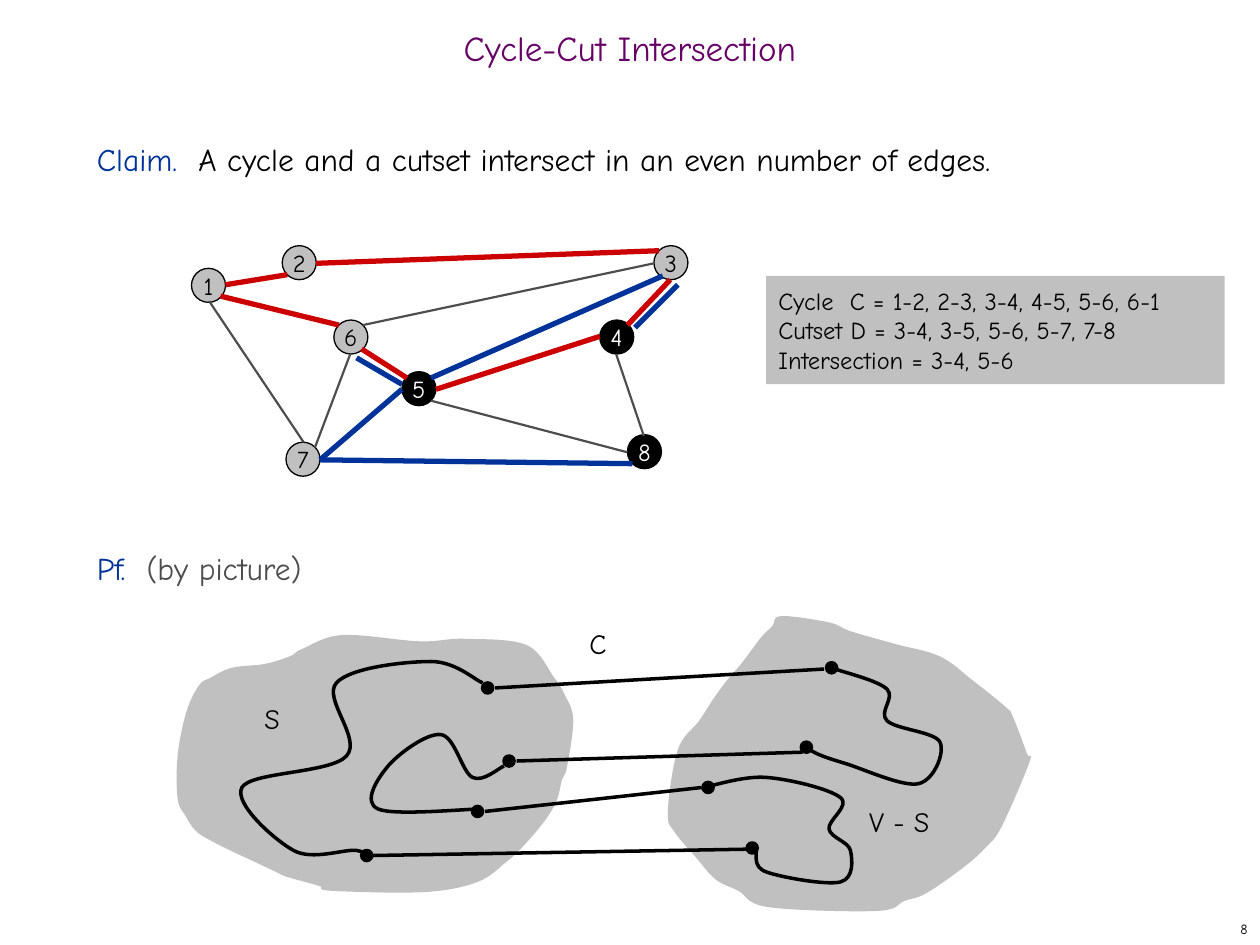
from pptx import Presentation
from pptx.dml.color import RGBColor as RGB
from pptx.enum.shapes import MSO_CONNECTOR as LINE, MSO_SHAPE as SHAPE
from pptx.enum.text import MSO_ANCHOR as ANCHOR, PP_ALIGN as ALIGN
from pptx.oxml.ns import qn
from pptx.util import Cm, Pt
from lxml import etree

FONT = "Comic Neue"
CM_PER_INCH = 2.54
NODE, DOT = 0.27, 0.08
COLORS = {
    "title": "660066", "blue": "003399", "red": "CC0000", "gray": "4D4D4D",
    "fill": "C0C0C0", "black": "000000", "dark": "010000", "white": "FFFFFF",
}
SET_S = [
    (1.67, 5.38), (1.84, 5.3), (2.1, 5.27), (2.3, 5.21), (2.4, 5.15), (2.72, 5.04),
    (3.33, 5.09), (3.69, 5.07), (4.18, 5.12), (4.4, 5.38), (4.48, 5.51),
    (4.55, 5.71), (4.5, 6.09), (4.46, 6.19), (4.42, 6.35), (4.32, 6.52), (4.14, 6.73),
    (4.02, 6.84), (3.79, 7), (3.37, 7.08), (2.63, 7.07), (2.53, 7.03), (2.28, 6.96),
    (2.19, 6.92), (2, 6.83), (1.89, 6.78), (1.67, 6.67), (1.55, 6.59), (1.47, 6.47),
    (1.41, 6.34), (1.41, 6), (1.48, 5.65), (1.58, 5.44),
]
SET_V_MINUS_S = [
    (6.2, 4.89), (6.58, 4.94), (6.75, 5.01), (7.1, 5.11), (7.46, 5.21), (7.72, 5.4),
    (7.98, 5.61), (8.04, 5.69), (8.15, 5.98), (8.17, 6.05), (7.95, 6.56),
    (7.82, 6.73), (7.64, 6.89), (7.35, 7.09), (7.18, 7.15), (6.96, 7.23),
    (6.1, 7.2), (5.86, 7.07), (5.68, 6.98), (5.52, 6.8), (5.36, 6.61), (5.3, 6.45),
    (5.38, 5.95), (5.55, 5.72), (5.66, 5.55), (5.77, 5.4), (5.89, 5.26),
    (6.04, 5.06), (6.13, 4.97),
]
CYCLE_ARCS = [
    [(2.92, 6.83), (2.83, 6.75), (2.33, 6.75), (1.92, 6.25), (2.75, 6), (2.67, 5.42),
     (3.42, 5.25), (3.83, 5.42)],
    [(3.83, 6.42), (3, 6.42), (3.08, 6.08), (3.5, 5.83), (3.75, 6.17), (4, 6.08)],
    [(6.38, 5.89), (6.46, 5.97), (6.71, 6.06), (7.29, 6.22), (7.46, 5.89),
     (7.04, 5.72), (7.04, 5.47), (6.63, 5.31)],
    [(5.58, 6.25), (6.08, 6.17), (6.67, 6.33), (6.58, 6.58), (6.75, 6.75), (6.67, 7),
     (6.08, 6.92), (6, 6.75)],
]
DOTS = [(6.56, 5.26), (3.83, 5.42), (2.87, 6.75), (5.93, 6.69),
        (4, 6), (6.36, 5.89), (3.75, 6.4), (5.58, 6.21)]
NODES = [
    ("1", 1.52, 2.13), ("3", 5.19, 1.95), ("8", 4.98, 3.45), ("2", 2.24, 1.95),
    ("6", 2.65, 2.54), ("7", 2.27, 3.51), ("4", 4.76, 2.54), ("5", 3.19, 2.95),
]
DARK_NODES = {"4", "5", "8"}
CROSSINGS = [(3.93, 5.46, 6.54, 5.31), (4.1, 6.04, 6.37, 5.97),
             (5.92, 6.74, 2.96, 6.79), (5.57, 6.25, 3.85, 6.44)]
EDGES = {
    "gray": [(1.66, 2.39, 2.41, 3.51), (2.88, 2.58, 5.19, 2.09), (3.42, 3.18, 4.98, 3.59),
             (4.89, 2.81, 5.11, 3.46), (2.78, 2.81, 2.5, 3.55)],
    "red": [(1.79, 2.26, 2.28, 2.18), (1.75, 2.35, 2.69, 2.58), (4.98, 2.58, 5.32, 2.22),
            (2.87, 2.77, 3.23, 3), (3.46, 3.09, 4.76, 2.67), (2.51, 2.09, 5.23, 1.99)],
    "blue": [(5.26, 2.19, 3.42, 3), (2.54, 3.65, 3.19, 3.09), (2.54, 3.65, 5.02, 3.68),
             (2.83, 2.84, 3.19, 3.05), (5.04, 2.6, 5.38, 2.26)],
}
EDGE_WIDTHS = {"gray": 1.25, "red": 3, "blue": 3}
LABELS = [("S", 2, 5.52, 0.42), ("V - S", 6.8, 6.34, 0.92), ("C", 4.58, 4.92, 0.42)]
CLAIM = [("Claim.  ", "blue"),
         ("A cycle and a cutset intersect in an even number of edges.", "black")]
PROOF = [("Pf.  ", "blue"), ("(by picture)", "gray")]
SUMMARY = ("Cycle  C = 1-2, 2-3, 3-4, 4-5, 5-6, 6-1\n"
           "Cutset D = 3-4, 3-5, 5-6, 5-7, 7-8\n"
           "Intersection = 3-4, 5-6")


def scaled(*inches):
    return [Cm(v * CM_PER_INCH) for v in inches]


def color(name):
    return RGB.from_string(COLORS[name])


def apply(obj, formats):
    for name, value in formats.items():
        setattr(obj, name, value)


def style(sp, fill=None, line=None, width=0.75):
    sp.shadow.inherit = False
    if fill:
        sp.fill.solid()
        sp.fill.fore_color.rgb = color(fill)
    else:
        sp.fill.background()
    if line:
        sp.line.color.rgb = color(line)
        sp.line.width = Pt(width)
    else:
        sp.line.fill.background()


def write(sp, paragraphs, size, frame=None, para=None):
    tf = sp.text_frame
    apply(tf, {"word_wrap": True, **(frame or {})})
    for i, runs in enumerate(paragraphs):
        p = tf.paragraphs[0] if i == 0 else tf.add_paragraph()
        apply(p, {"alignment": ALIGN.LEFT, **(para or {})})
        for text, name in runs:
            for row, part in enumerate(text.split("\n")):
                if row:
                    p.add_line_break()
                r = p.add_run()
                r.text = part
                apply(r.font, {"name": FONT, "size": Pt(size)})
                r.font.color.rgb = color(name)
    return tf


def add_text(s, box, paragraphs, size, frame=None, para=None):
    return write(s.shapes.add_textbox(*scaled(*box)), paragraphs, size, frame, para)


def add_shape(s, kind, box, fill, line=None, width=0.75):
    sp = s.shapes.add_shape(kind, *scaled(*box))
    style(sp, fill, line, width)
    return sp


def add_line(s, ends, name, width):
    c = s.shapes.add_connector(LINE.STRAIGHT, *scaled(*ends))
    c.line.color.rgb = color(name)
    c.line.width = Pt(width)
    etree.SubElement(c.element.spPr, qn("a:effectLst"))


def bend(sp, closed):
    points = [(int(pt.get("x")), int(pt.get("y"))) for pt in sp.element.iter(qn("a:pt"))]
    if closed:
        padded = [points[-2], *points, points[1]]
    else:
        padded = [points[0], *points, points[-1]]
    for i, segment in enumerate(list(sp.element.iter(qn("a:lnTo")))):
        before, start, end, after = padded[i:i + 4]
        first = [b + (c - a) / 6 for a, b, c in zip(before, start, end)]
        second = [b - (c - a) / 6 for a, b, c in zip(start, end, after)]
        curve = etree.Element(qn("a:cubicBezTo"))
        for x, y in (first, second, end):
            etree.SubElement(curve, qn("a:pt"), x=str(round(x)), y=str(round(y)))
        segment.getparent().replace(segment, curve)


def add_curve(s, anchors, closed=False, **look):
    start, *rest = [scaled(*point) for point in anchors]
    builder = s.shapes.build_freeform(*start)
    builder.add_line_segments(rest + [start] if closed else rest, close=closed)
    sp = builder.convert_to_shape()
    bend(sp, closed)
    style(sp, **look)


def add_node(s, text, x, y):
    dark = text in DARK_NODES
    sp = add_shape(s, SHAPE.OVAL, (x, y, NODE, NODE), "dark" if dark else "fill", "black")
    write(sp, [[(text, "white" if dark else "black")]], 14,
          {"word_wrap": False, "vertical_anchor": ANCHOR.MIDDLE},
          {"alignment": ALIGN.CENTER})


def main():
    prs = Presentation()
    apply(prs, {"slide_width": Cm(25.4), "slide_height": Cm(19.05)})
    s = prs.slides.add_slide(prs.slide_layouts[6])
    middle = {"vertical_anchor": ANCHOR.MIDDLE}

    add_text(s, (7.92, 7.25, 2.08, 0.25), [[("8", "black")]], 8, middle,
             {"alignment": ALIGN.RIGHT})
    for outline in (SET_V_MINUS_S, SET_S):
        add_curve(s, outline, closed=True, fill="fill")
    add_text(s, (0, 0.17, 10, 0.5), [[("Cycle-Cut Intersection", "title")]], 20, middle,
             {"alignment": ALIGN.CENTER, "line_spacing": 0.7})
    tf = add_text(s, (0.67, 1, 8.58, 5.92), [CLAIM, PROOF], 18, para={"line_spacing": Pt(26)})
    tf.paragraphs[1].space_before = Pt(8 * 26)

    for x, y in DOTS:
        add_shape(s, SHAPE.OVAL, (x, y, DOT, DOT), "dark", "black", 2)
    for ends in CROSSINGS:
        add_line(s, ends, "black", 2)
    for node in NODES:
        add_node(s, *node)
    for name, edges in EDGES.items():
        for ends in edges:
            add_line(s, ends, name, EDGE_WIDTHS[name])
    for text, x, y, width in LABELS:
        add_text(s, (x, y, width, 0.37), [[(text, "black")]], 16)
    for arc in CYCLE_ARCS:
        add_curve(s, arc, line="black", width=2)

    panel = add_shape(s, SHAPE.RECTANGLE, (6.08, 2.19, 3.64, 0.86), "fill")
    write(panel, [[(SUMMARY, "black")]], 14, middle)
    prs.save("out.pptx")


if __name__ == "__main__":
    main()
